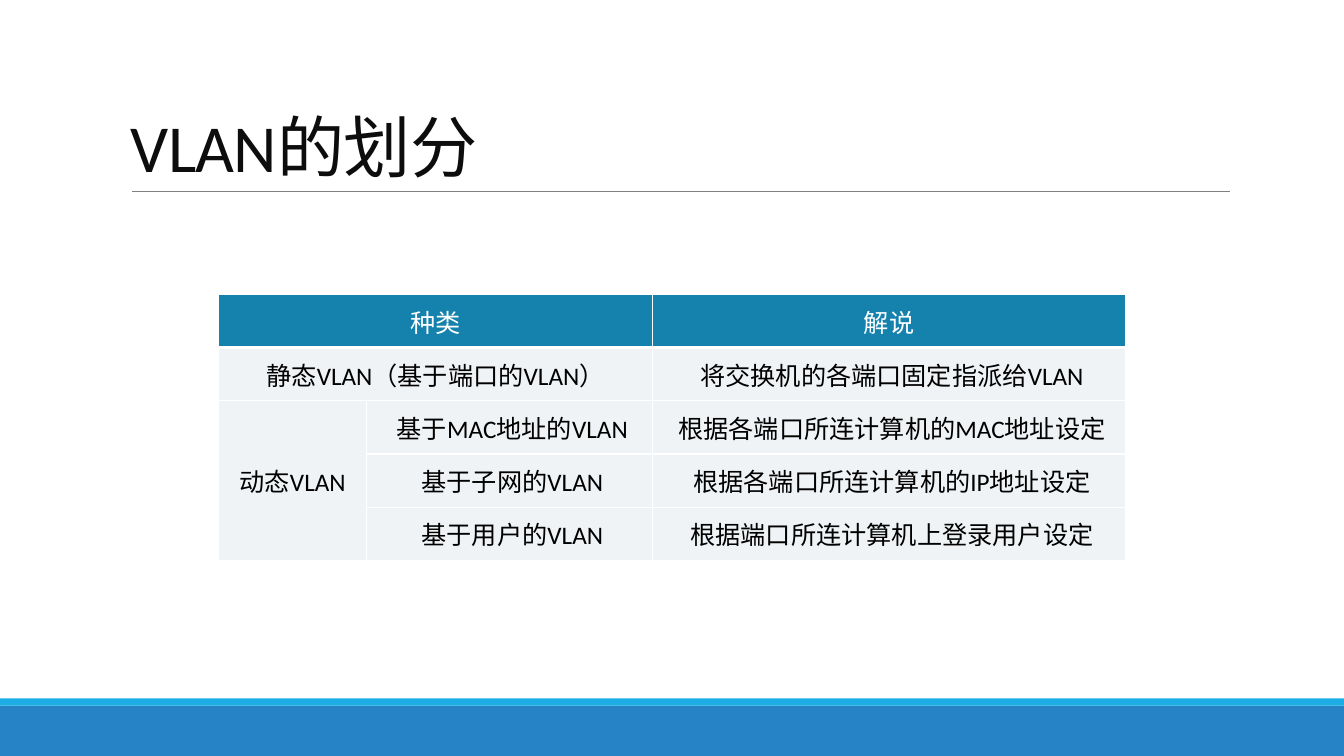
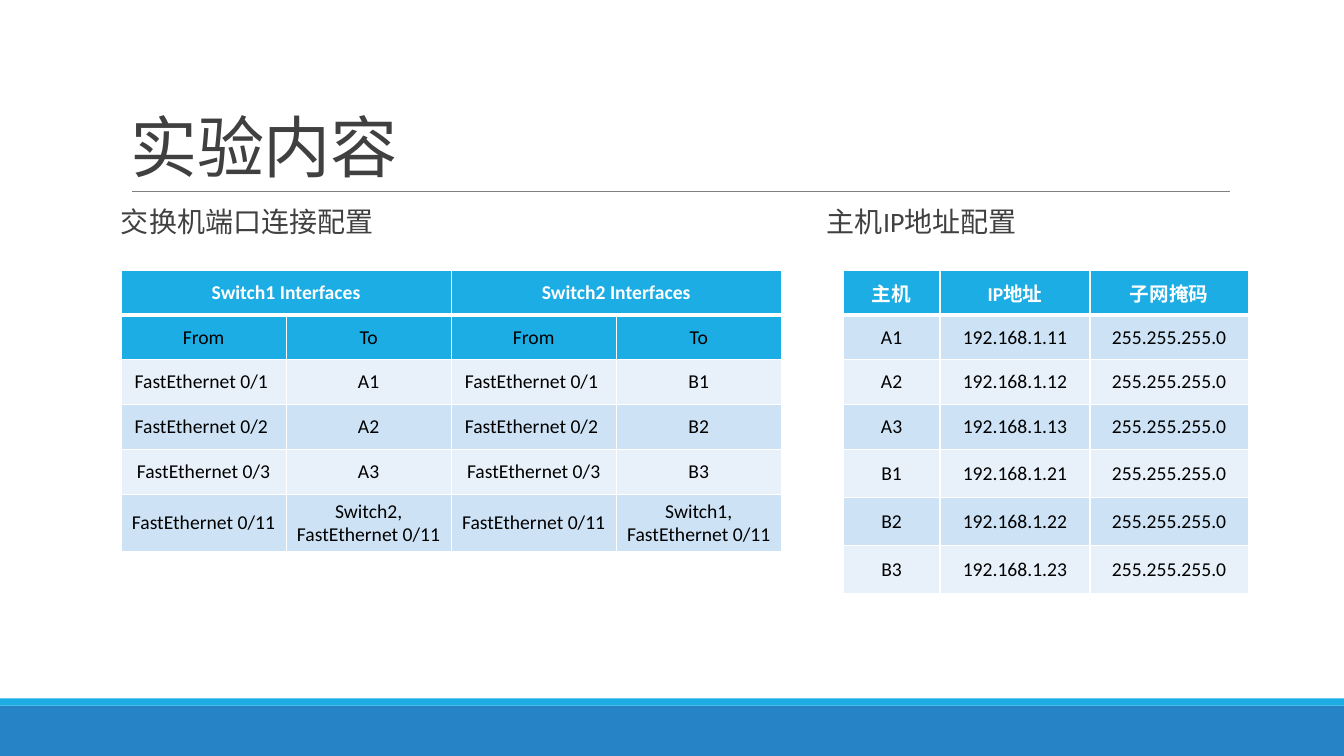
from lxml import etree
from pptx import Presentation
from pptx.dml.color import RGBColor
from pptx.enum.shapes import MSO_CONNECTOR, MSO_SHAPE
from pptx.enum.text import MSO_ANCHOR, PP_ALIGN
from pptx.oxml.ns import qn
from pptx.util import Cm, Pt

RECT = MSO_SHAPE.RECTANGLE
LINE = MSO_CONNECTOR.STRAIGHT
LEFT, MID = PP_ALIGN.LEFT, PP_ALIGN.CENTER
BOTTOM, CENTRE, TOP = MSO_ANCHOR.BOTTOM, MSO_ANCHOR.MIDDLE, MSO_ANCHOR.TOP
FONT = "Calibri"
WIDE, HIGH = 33.87, 19.05
COLORS = {
    "band": "2683C6", "sky": "1CADE4", "rule": "808080",
    "ink": "0D0D0D", "grey": "404040", "black": "000000", "white": "FFFFFF",
    "teal": "1482AC", "mist": "F0F3F5", "pale": "E8F1FA", "blue": "CDE3F5",
}


def rgb(name):
    return RGBColor.from_string(COLORS[name])


def write(frame, text, size=14, color="black", bold=False, align=LEFT,
          space=1.0, track=0):
    """Fill a text frame, one paragraph for each line of text."""
    frame.word_wrap = True
    for i, line in enumerate(text.split("\n")):
        para = frame.paragraphs[0] if i == 0 else frame.add_paragraph()
        para.alignment, para.line_spacing = align, space
        run = para.add_run()
        run.text = line
        font = run.font
        font.name, font.size, font.bold = FONT, Pt(size), bold
        font.color.rgb = rgb(color)
        props = run._r.get_or_add_rPr()
        props.set("lang", "zh-CN")
        if track:
            props.set("spc", str(round(track * 100)))


def label(slide, box, text, pad=(0.25, 0.13), anchor=TOP, **style):
    frame = slide.shapes.add_textbox(*map(Cm, box)).text_frame
    frame.margin_left = frame.margin_right = Cm(pad[0])
    frame.margin_top = frame.margin_bottom = Cm(pad[1])
    frame.vertical_anchor = anchor
    write(frame, text, **style)


def band(slide, box, color):
    shape = slide.shapes.add_shape(RECT, *map(Cm, box))
    shape.shadow.inherit = False
    shape.fill.solid()
    shape.fill.fore_color.rgb = rgb(color)
    shape.line.fill.background()


def base(deck, title, color):
    """Add a slide with its title, rule and footer bands."""
    slide = deck.slides.add_slide(deck.slide_layouts[6])
    foot, strip = 1.27, 0.18
    band(slide, (0, HIGH - foot, WIDE, foot), "band")
    band(slide, (0, HIGH - foot - strip, WIDE, strip), "sky")
    left, top, width, height = box = (3.05, 0.79, 27.94, 4.04)
    base_y = Cm(top + height)
    rule = slide.shapes.add_connector(
        LINE, Cm(left + 0.28), base_y, Cm(left + width), base_y)
    rule.line.color.rgb = rgb("rule")
    rule.line.width = Pt(0.5)
    etree.SubElement(rule._element.spPr, qn("a:effectLst"))
    label(slide, box, title, anchor=BOTTOM, size=48, color=color,
          space=0.85, track=-0.5)
    return slide


def edge(cell, head):
    """Draw white cell borders, thicker below the head row."""
    props = cell._tc.get_or_add_tcPr()
    for i, side in enumerate("LRTB"):
        width = 3 if head and side == "B" else 1
        line = etree.Element(qn("a:ln" + side), w=str(Pt(width)))
        fill = etree.SubElement(line, qn("a:solidFill"))
        etree.SubElement(fill, qn("a:srgbClr"), val=COLORS["white"])
        props.insert(i, line)


def grid(slide, spot, cols, rows, data, fills, spans=(), pad=(0.25, 0.13),
         size=14, bold=True):
    """Place a table; None in data marks a cell covered by a span."""
    box = (*spot, sum(cols), sum(rows))
    table = slide.shapes.add_table(
        len(rows), len(cols), *map(Cm, box)).table
    table.first_row = table.horz_banding = False
    for col, width in zip(table.columns, cols):
        col.width = Cm(width)
    for row, height in zip(table.rows, rows):
        row.height = Cm(height)
    for r, (line, fill) in enumerate(zip(data, fills)):
        head = r == 0
        for c, text in enumerate(line):
            cell = table.cell(r, c)
            cell.fill.solid()
            cell.fill.fore_color.rgb = rgb(fill)
            edge(cell, head)
            cell.vertical_anchor = CENTRE
            cell.margin_left = cell.margin_right = Cm(pad[0])
            cell.margin_top = cell.margin_bottom = Cm(pad[1])
            if text is not None:
                write(cell.text_frame, text, size=size, align=MID,
                      color="white" if head else "black",
                      bold=bold and head)
    for top, left, end, right in spans:
        table.cell(top, left).merge(table.cell(end, right))


def kinds(deck):
    """Slide on the ways to divide a VLAN."""
    slide = base(deck, "VLAN的划分", "ink")
    data = [
        ("种类", None, "解说"),
        ("静态VLAN（基于端口的VLAN）", None,
         "\u00a0将交换机的各端口固定指派给VLAN"),
        ("动态VLAN", "\u00a0基于MAC地址的VLAN",
         "\u00a0根据各端口所连计算机的MAC地址设定"),
        (None, "\u00a0基于子网的VLAN",
         "\u00a0根据各端口所连计算机的IP地址设定"),
        (None, "\u00a0基于用户的VLAN",
         "\u00a0根据端口所连计算机上登录用户设定"),
    ]
    grid(slide, (5.51, 7.42), (3.73, 7.2, 11.93), [1.34] * 5, data,
         ["teal"] + ["mist"] * 4, pad=(0.2, 0.2), size=18, bold=False,
         spans=[(0, 0, 0, 1), (1, 0, 1, 1), (2, 0, 4, 0)])


def ports(slide, spot):
    """Table of switch ports."""
    data = [("Switch1 Interfaces", None, "Switch2 Interfaces", None),
            ("From", "To") * 2]
    for i, end in enumerate(("1 ", "2 ", "3"), 1):
        port = "FastEthernet 0/" + end
        data.append((port, f"A{i}", port, f"B{i}"))
    trunk = "FastEthernet 0/11"
    data.append((trunk, "Switch2,\n" + trunk, trunk, "Switch1,\n" + trunk))
    grid(slide, spot, [4.16] * 4, [1.13] * 5 + [1.44], data,
         ["sky"] * 2 + ["pale", "blue"] * 2,
         spans=[(0, 0, 0, 1), (0, 2, 0, 3)])


def hosts(slide, spot):
    """Table of host addresses."""
    data = [("主机", "IP地址", "子网掩码")]
    for net, name in enumerate("AB", 1):
        for i in range(1, 4):
            data.append((f"{name}{i}", f"192.168.1.{net}{i}",
                         "255.255.255.0"))
    grid(slide, spot, (2.44, 3.78, 3.99), [1.13] * 4 + [1.21] * 3, data,
         ["sky"] + ["blue", "pale"] * 3)


def lab(deck):
    """Slide on the lab set-up."""
    slide = base(deck, "实验内容", "grey")
    for left, width, text in ((3.05, 16.6, "交换机端口连接配置"),
                              (20.84, 10.6, "主机IP地址配置")):
        label(slide, (left, 5.13, width, 1.1), text, pad=(0, 0.13),
              size=20, color="grey", space=0.9)
    top = 6.81
    ports(slide, (3.05, top))
    hosts(slide, (21.25, top))


deck = Presentation()
deck.slide_width, deck.slide_height = Cm(WIDE), Cm(HIGH)
kinds(deck)
lab(deck)
deck.save("out.pptx")
